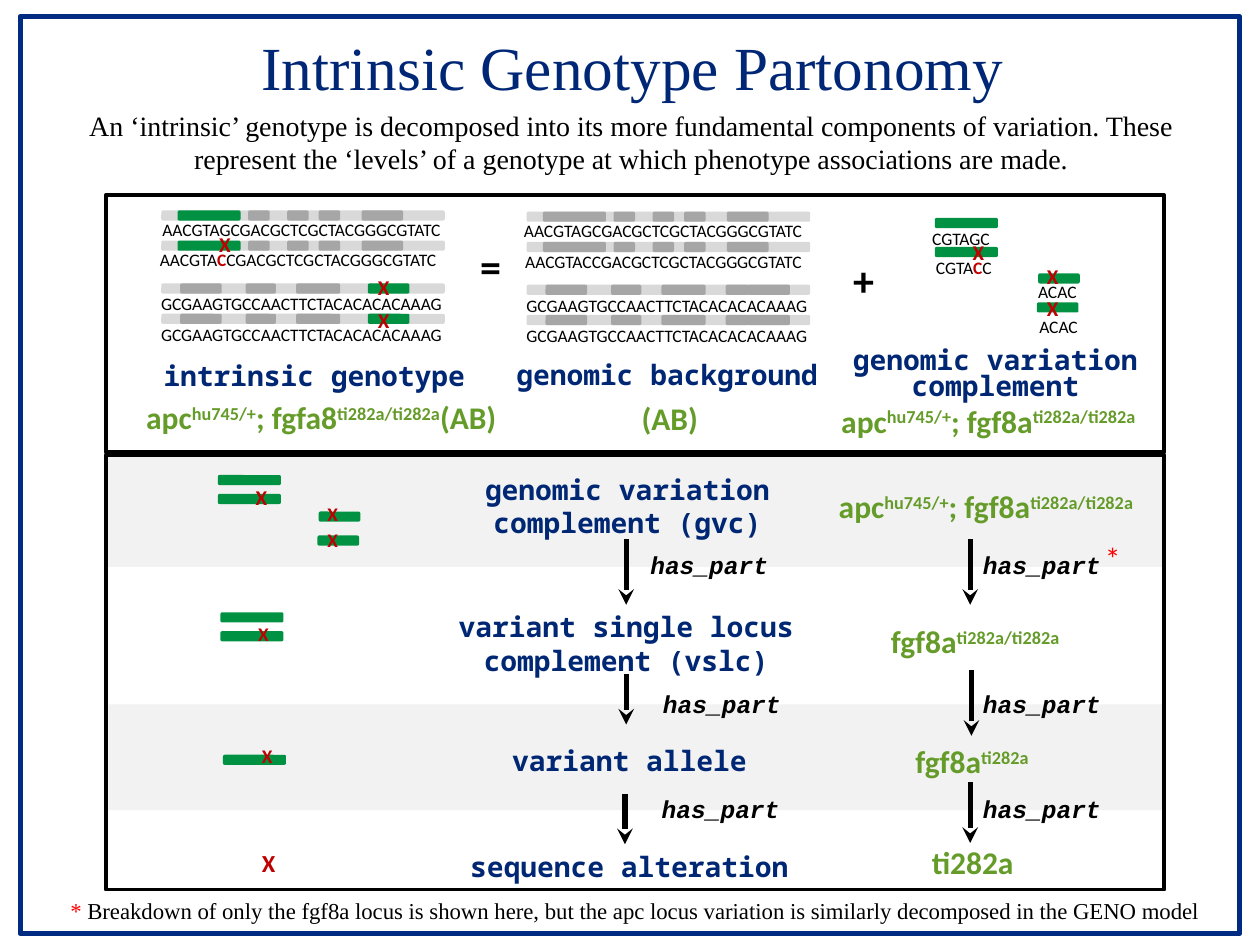
from lxml.etree import SubElement
from pptx import Presentation
from pptx.dml.color import RGBColor
from pptx.enum.shapes import MSO_CONNECTOR, MSO_SHAPE
from pptx.enum.text import MSO_ANCHOR, MSO_AUTO_SIZE, PP_ALIGN
from pptx.oxml.ns import qn
from pptx.util import Inches, Pt

NAVY, BLACK, GREEN, RED = "002774", "000000", "009242", "C00000"
PALE, GREY, BAND = "D9D9D9", "A6A6A6", "F2F2F2"
GENE, LOCUS, THICK = 5, 3.3, 0.8


def paint(hex_code):
    """Turn a hex string into a colour."""
    return RGBColor.from_string(hex_code)


class GenotypeSlide:
    """Slide with a grid of 100 columns by 75 rows and one set of text styles."""

    STYLES = {
        "title": {"name": "Times New Roman", "size": 35, "color": "002776"},
        "lead": {"name": "Times New Roman", "size": 16, "color": BLACK},
        "note": {"name": "Times New Roman", "size": 13, "color": BLACK},
        "term": {"name": "Noto Sans Mono", "size": 16, "color": NAVY, "bold": True},
        "allele": {"name": "Calibri", "size": 18, "color": "659B29", "bold": True},
        "sign": {"name": "Calibri", "size": 24, "color": BLACK, "bold": True},
        "relation": {"name": "Courier New", "size": 14, "color": BLACK,
                     "bold": True, "italic": True},
        "sequence": {"name": "Calibri", "size": 10, "color": BLACK},
        "mark": {"name": "Calibri", "size": 12, "color": RED, "bold": True},
        "star": {"name": "Calibri", "size": 18, "color": "FF0000"},
    }
    ACCENTS = {
        "allele": {"raised": True},
        "sequence": {"color": RED, "bold": True},
        "note": {"color": "FF0000"},
    }

    def __init__(self, deck):
        """Add a title-only slide and measure its grid."""
        self.slide = deck.slides.add_slide(deck.slide_layouts[5])
        self.column, self.row = deck.slide_width / 100, deck.slide_height / 75

    def spot(self, x, y):
        """Convert columns and rows to slide lengths."""
        return round(x * self.column), round(y * self.row)

    def style(self, font, values):
        """Apply a dict of format values to a font."""
        for key, value in values.items():
            if key == "color":
                font.color.rgb = paint(value)
            elif key == "raised":
                font._element.set("baseline", "30000")
            else:
                setattr(font, key, Pt(value) if key == "size" else value)

    def fill_line(self, paragraph, words, kind, **changes):
        """Fill a paragraph, giving the pieces between carets the accent."""
        for index, piece in enumerate(words.split("^")):
            if piece:
                run = paragraph.add_run()
                run.text = piece
                accent = self.ACCENTS[kind] if index % 2 else {}
                self.style(run.font, {**self.STYLES[kind], **changes, **accent})

    def title(self, words, x, y, width, height):
        """Place and format the title placeholder."""
        heading = self.slide.shapes.title
        heading.left, heading.top = self.spot(x, y)
        heading.width, heading.height = self.spot(width, height)
        frame = heading.text_frame
        frame.auto_size, frame.vertical_anchor = MSO_AUTO_SIZE.NONE, MSO_ANCHOR.TOP
        frame.paragraphs[0].alignment = PP_ALIGN.CENTER
        self.fill_line(frame.paragraphs[0], words, "title")

    def text(self, words, kind, x, y, width, height, centred=True, wrap=False,
             spacing=None, **changes):
        """Add a text box with one paragraph per line of words."""
        box = self.slide.shapes.add_textbox(*self.spot(x, y), *self.spot(width, height))
        frame = box.text_frame
        frame.word_wrap, frame.auto_size = wrap, MSO_AUTO_SIZE.SHAPE_TO_FIT_TEXT
        for index, line in enumerate(words.split("\n")):
            paragraph = frame.add_paragraph() if index else frame.paragraphs[0]
            paragraph.alignment = PP_ALIGN.CENTER if centred else PP_ALIGN.LEFT
            if spacing:
                paragraph.line_spacing = Pt(spacing)
            self.fill_line(paragraph, line, kind, **changes)

    def box(self, x, y, width, height, fill=None, line=None, weight=2.25,
            form=MSO_SHAPE.RECTANGLE):
        """Add a preset shape with a fill, an outline or both."""
        shape = self.slide.shapes.add_shape(form, *self.spot(x, y),
                                            *self.spot(width, height))
        shape.shadow.inherit = False
        for part, color in ((shape.fill, fill), (shape.line.fill, line)):
            if color:
                part.solid()
                part.fore_color.rgb = paint(color)
            else:
                part.background()
        if line:
            shape.line.width = Pt(weight)

    def bar(self, x, y, width, fill=GREEN):
        """Add one rounded stretch of sequence."""
        self.box(x, y, width, THICK, fill, form=MSO_SHAPE.ROUNDED_RECTANGLE)

    def strand(self, x, y, spans, letters, text_x, text_y):
        """Add a chromosome bar with its genes and letters."""
        self.bar(x, y, 22.5, PALE)
        for offset, width, fill in spans:
            self.bar(x + offset, y, width, fill)
        self.text(letters, "sequence", text_x, text_y, 24.9, 2.7, centred=False)

    def mark(self, x, y, size=12):
        """Add the X of an alteration."""
        self.text("X", "mark", x, y, 2.9, 3, centred=False, size=size)

    def arrow(self, x, start, end):
        """Add a downward arrow."""
        line = self.slide.shapes.add_connector(
            MSO_CONNECTOR.STRAIGHT, *self.spot(x, start), *self.spot(x, end))
        line.line.color.rgb, line.line.width = paint(BLACK), Pt(3)
        properties = line._element.spPr
        SubElement(properties.find(qn("a:ln")), qn("a:tailEnd"), type="stealth")
        SubElement(properties, qn("a:effectLst"))


def genes(spans, first=GREY, last=GREY):
    """Colour the gene spans of a strand, ends apart."""
    fills = [first] + [GREY] * (len(spans) - 2) + [last]
    return [(*span, fill) for span, fill in zip(spans, fills)]


def main():
    """Build and save the slide."""
    deck = Presentation()
    deck.slide_width, deck.slide_height = Inches(10), Inches(7.5)
    page = GenotypeSlide(deck)

    page.box(8.6, 55.9, 83.7, 8.4, BAND)
    page.box(8.5, 35.8, 83.9, 9.2, BAND)
    page.box(8.4, 15.5, 84, 20.4, line=BLACK)
    page.box(8.4, 36.1, 84, 34.5, line=BLACK)
    page.box(1.6, 1.3, 96.8, 72.8, line="002B82", weight=3)
    page.title("Intrinsic Genotype Partonomy", 5.2, 1.8, 90, 14.1)
    page.text("An ‘intrinsic’ genotype is decomposed into its more fundamental "
              "components of variation. These represent the ‘levels’ of a genotype "
              "at which phenotype associations are made.",
              "lead", 4.2, 8.1, 91.8, 6.4, wrap=True)

    upper = [(1.3, GENE), (6.9, 1.7), (10, 1.7), (12.5, 1.7), (15.9, 3.3)]
    lower = [(1.5, 3.3), (6.7, 2.4), (10.7, 3.5)]
    split = lower + [(15.8, 1.8), (17.5, 3.4)]
    altered = genes(upper, first=GREEN)
    mutant = genes(lower + [(16.4, LOCUS)], last=GREEN)
    wild = "AACGTAGCGACGCTCGCTACGGGCGTATC"
    repeat = "GCGAAGTGCCAACTTCTACACACACAAAG"
    for x, y, spans, letters, text_x, text_y in (
            (12.8, 16.7, altered, wild, 11.9, 16.9),
            (12.8, 19.1, altered, "AACGTA^C^CGACGCTCGCTACGGGCGTATC", 11.7, 19.3),
            (12.8, 22.5, mutant, repeat, 11.8, 22.8),
            (12.8, 24.9, mutant, repeat, 11.8, 25.2),
            (41.8, 16.8, genes(upper), wild, 40.6, 17),
            (41.8, 19.2, genes(upper), wild.replace("TAG", "TAC"), 40.7, 19.4),
            (41.8, 22.6, genes(split), repeat, 40.8, 22.9),
            (41.8, 25, genes(split), repeat, 40.8, 25.3)):
        page.strand(x, y, spans, letters, text_x, text_y)

    for x, y, width in (
            (74.2, 17.3, GENE), (74.2, 19.6, GENE), (82.4, 21.7, LOCUS),
            (82.3, 24, LOCUS), (17.3, 37.7, GENE), (17.3, 39.2, GENE),
            (25.3, 40.6, LOCUS), (25.2, 42.5, LOCUS), (17.5, 48.6, GENE),
            (17.5, 50.1, GENE), (17.7, 59.9, GENE)):
        page.bar(x, y, width)
    for letters, x, y, width in (
            ("CGTAGC", 73, 17.6, 6.8), ("CGTA^C^C", 73.3, 19.9, 6.8),
            ("ACAC", 81.4, 21.8, 5.2), ("ACAC", 81.5, 24.6, 5.2)):
        page.text(letters, "sequence", x, y, width, 2.7, centred=False)
    for x, y, size in (
            (16.4, 17.9, 12), (29, 21.3, 12), (29, 23.9, 12), (76.2, 18.5, 12),
            (82.1, 20.4, 12), (82.1, 23, 12), (19.3, 38, 12), (25, 39.4, 11),
            (25, 41.4, 11), (19.5, 48.9, 11), (19.8, 58.6, 11), (19.8, 66.8, 14)):
        page.mark(x, y, size)

    page.text("=", "sign", 37.1, 18.6, 3.7, 5)
    page.text("+", "sign", 66.7, 19.7, 3.7, 5)
    for words, x, y, width, height, spacing in (
            ("intrinsic genotype", 11.8, 28, 26.3, 3.7, None),
            ("genomic background", 39.8, 27.9, 26.3, 3.7, None),
            ("genomic variation\ncomplement", 66.5, 27.3, 25, 5.4, 15),
            ("genomic variation\ncomplement (gvc)", 37.3, 37, 25, 6.4, None),
            ("variant single locus\ncomplement (vslc)", 35.2, 47.9, 29, 6.4, None),
            ("variant allele", 39.5, 59.1, 20.9, 5.4, 15),
            ("sequence alteration", 36.1, 66.9, 27.7, 3.7, None)):
        page.text(words, "term", x, y, width, height, spacing=spacing)

    complement = "apc^hu745/+^; fgf8a^ti282a/ti282a^"
    page.text("apc^hu745/+^; fgfa8^ti282a/ti282a^(AB)", "allele",
              9.2, 31.1, 32.6, 4, wrap=True)
    for words, x, y, width in (
            ("(AB)", 49.9, 31.2, 6.5), (complement, 64.6, 31.4, 27.7),
            (complement, 64.4, 38.2, 27.7), ("fgf8a^ti282a/ti282a^", 69, 48.9, 16.8),
            ("fgf8a^ti282a^", 71.3, 58.4, 11.7), ("ti282a", 72.9, 66.4, 8.6)):
        page.text(words, "allele", x, y, width, 4)

    for x, start, end in ((49.7, 42.8, 48), (49.7, 53.5, 57.5), (49.6, 63, 67),
                          (77, 42.8, 48), (77.1, 53.2, 58.4), (77, 62.1, 66.9)):
        page.arrow(x, start, end)
    for y, left in ((43.2, 50.6), (54.2, 51.6), (62.5, 51.5)):
        for x in (left, 77):
            page.text("has_part", "relation", x, y, 11.4, 3.4)
    page.text("*", "star", 86.7, 42.3, 3.3, 4, centred=False)
    page.text("^* ^Breakdown of only the fgf8a locus is shown here, but the apc locus "
              "variation is similarly decomposed in the GENO model",
              "note", 4.6, 70.7, 91.6, 3.2, centred=False)
    deck.save("out.pptx")


if __name__ == "__main__":
    main()
